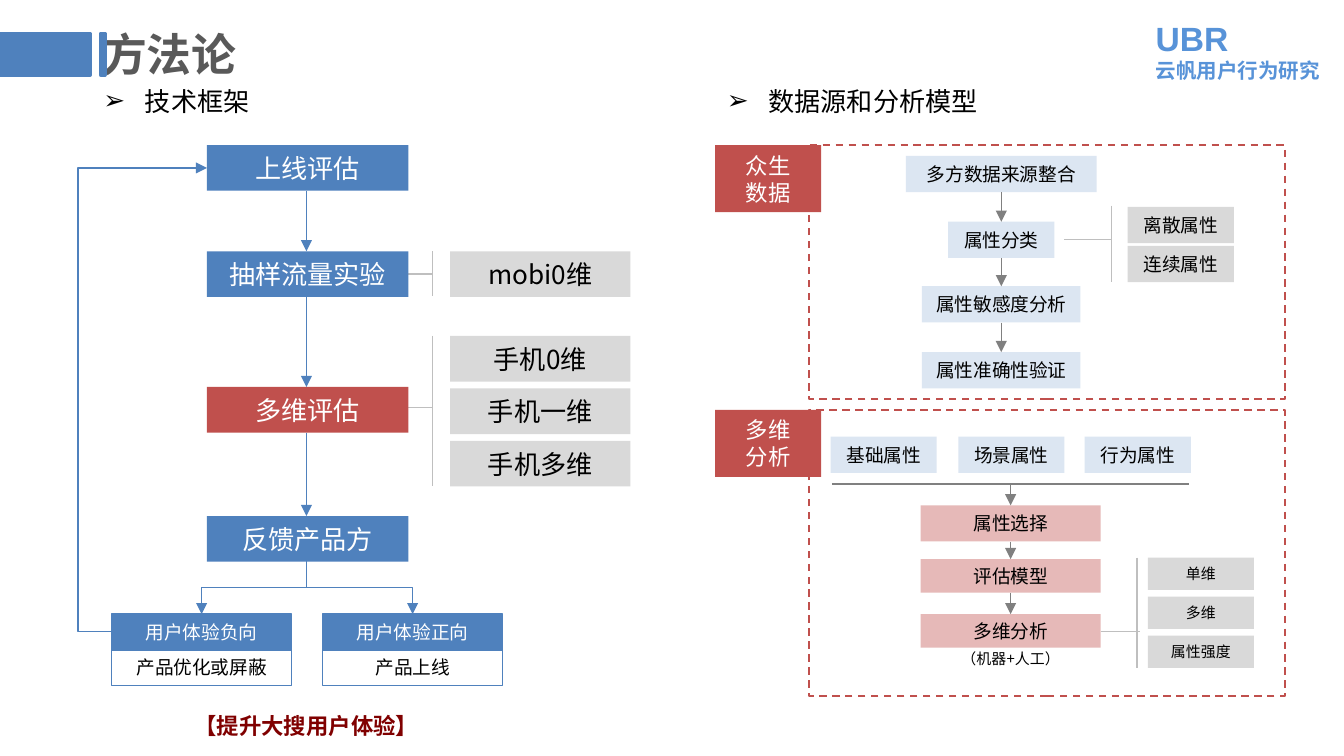
import pptx
import pptx.dml.color
import pptx.enum.dml
import pptx.enum.shapes
import pptx.enum.text
import pptx.oxml
import pptx.oxml.ns
import pptx.util
from pptx.util import Inches

FONT = "Noto Sans CJK SC"
BLUE, RED, PALE, PINK = "4F81BD", "C0504D", "DCE6F2", "E6B9B8"
GRAY, RULE, ARROW = "D9D9D9", "BFBFBF", "808080"
BLACK, WHITE = "000000", "FFFFFF"


def rgb(value):
    return pptx.dml.color.RGBColor.from_string(value)


def add_xml(parent, tag, **attributes):
    element = pptx.oxml.parse_xml(f"<a:{tag} {pptx.oxml.ns.nsdecls('a')}/>")
    for name, value in attributes.items():
        element.set(name, value)
    parent.append(element)


def add_span(para, text, size, color, bold=False, font=FONT):
    span = para.add_run()
    span.text = text
    span.font.size = pptx.util.Pt(size)
    span.font.bold = bold
    span.font.name = font
    span.font.color.rgb = rgb(color)
    add_xml(span._r.get_or_add_rPr(), "ea", typeface=font)


def prepare_frame(frame, side=0):
    frame.word_wrap = True
    frame.auto_size = pptx.enum.text.MSO_AUTO_SIZE.NONE
    frame.vertical_anchor = pptx.enum.text.MSO_ANCHOR.MIDDLE
    frame.margin_left = frame.margin_right = Inches(side)
    frame.margin_top = frame.margin_bottom = 0


def write_lines(frame, lines, size, color, bold=False):
    prepare_frame(frame)
    for index, line in enumerate(lines):
        para = frame.add_paragraph() if index else frame.paragraphs[0]
        para.alignment = pptx.enum.text.PP_ALIGN.CENTER
        add_span(para, line, size, color, bold)


def add_box(page, left, top, width, height, lines=(), fill=None, size=10,
            color=BLACK, line=None, weight=0.75, dashed=False):
    box = page.shapes.add_shape(
        pptx.enum.shapes.MSO_SHAPE.RECTANGLE,
        Inches(left), Inches(top), Inches(width), Inches(height))
    box.shadow.inherit = False
    if fill:
        box.fill.solid()
        box.fill.fore_color.rgb = rgb(fill)
    else:
        box.fill.background()
    if line:
        box.line.color.rgb = rgb(line)
        box.line.width = pptx.util.Pt(weight)
        if dashed:
            box.line.dash_style = pptx.enum.dml.MSO_LINE.DASH
    else:
        box.line.fill.background()
    write_lines(box.text_frame, lines, size, color)


def add_label(page, left, top, width, height, text, size, color, bold=False):
    label = page.shapes.add_textbox(
        Inches(left), Inches(top), Inches(width), Inches(height))
    write_lines(label.text_frame, [text], size, color, bold)


def add_line(page, x1, y1, x2, y2, color, arrow=False, elbow=False):
    kinds = pptx.enum.shapes.MSO_CONNECTOR
    connector = page.shapes.add_connector(
        kinds.ELBOW if elbow else kinds.STRAIGHT,
        Inches(x1), Inches(y1), Inches(x2), Inches(y2))
    connector.line.color.rgb = rgb(color)
    connector.line.width = pptx.util.Pt(0.75)
    if arrow:
        add_xml(connector.line._get_or_add_ln(), "tailEnd", type="triangle")
    add_xml(connector._element.spPr, "effectLst")
    return connector


def add_branch(page, x1, y1, x2, y2):
    middle_x, middle_y = (x1 + x2) / 2, (y1 + y2) / 2
    half_run, half_drop = (x2 - x1) / 2, (y2 - y1) / 2
    branch = add_line(page, middle_x - half_drop, middle_y + half_run,
                      middle_x + half_drop, middle_y - half_run, BLUE, True, True)
    branch._element.spPr.xfrm.set("rot", "5400000")


def add_return_loop(page):
    loop = add_line(page, 0.83, 4.7, 1.54, 1.25, BLUE, True, True)
    guides = loop._element.spPr.prstGeom.get_or_add_avLst()
    add_xml(guides, "gd", name="adj1", fmla="val -35300")


def add_heading(page, left, width, text):
    heading = page.shapes.add_textbox(
        Inches(left), Inches(0.58), Inches(width), Inches(0.34))
    prepare_frame(heading.text_frame, 0.1)
    para = heading.text_frame.paragraphs[0]
    properties = para._p.get_or_add_pPr()
    properties.set("marL", str(Inches(0.31)))
    properties.set("indent", str(-Inches(0.31)))
    add_xml(properties, "buFont", typeface="Arial")
    add_xml(properties, "buChar", char="➢")
    add_span(para, text, 14, BLACK)


def add_header(page):
    title = page.shapes.title
    title.left, title.top = Inches(0.28), Inches(0.12)
    title.width, title.height = Inches(4.65), Inches(0.55)
    prepare_frame(title.text_frame)
    title.text_frame.margin_left = Inches(0.48)
    para = title.text_frame.paragraphs[0]
    para.alignment = pptx.enum.text.PP_ALIGN.LEFT
    add_span(para, "方法论", 24, "595959", True)
    for left, width in ((0, 0.67), (0.75, 0.03)):
        add_box(page, left, 0.25, width, 0.31, fill=BLUE, line=BLUE, weight=2)
    team = page.shapes.add_textbox(
        Inches(8.5), Inches(-0.02), Inches(1.97), Inches(0.79))
    prepare_frame(team.text_frame, 0.1)
    add_span(team.text_frame.paragraphs[0], "UBR", 18, "5893D8", True, "Arial")
    add_span(team.text_frame.add_paragraph(), "云帆用户行为研究", 11, "5893D8", True)


def add_framework(page):
    add_heading(page, 0.67, 1.89, "技术框架")
    for y, top, bottom in ((3.03, 2.5, 3.62), (2.04, 1.87, 2.2)):
        add_line(page, 2.87, y, 3.22, y, RULE)
        add_line(page, 3.22, top, 3.22, bottom, RULE)
    steps = [("上线评估", 1.08, BLUE), ("抽样流量实验", 1.87, BLUE),
             ("多维评估", 2.88, RED), ("反馈产品方", 3.84, BLUE)]
    for text, top, fill in steps:
        add_box(page, 1.54, top, 1.5, 0.34, [text], fill, 14, WHITE)
    for step, following in zip(steps, steps[1:]):
        add_line(page, 2.28, step[1] + 0.34, 2.28, following[1], BLUE, True)
    for text, top in (("mobi0维", 1.87), ("手机0维", 2.5),
                      ("手机一维", 2.89), ("手机多维", 3.28)):
        add_box(page, 3.35, top, 1.34, 0.34, [text], GRAY, 14)
    for left, outcome, action in ((0.83, "用户体验负向", "产品优化或屏蔽"),
                                  (2.4, "用户体验正向", "产品上线")):
        add_box(page, left, 4.57, 1.34, 0.27, [outcome], BLUE, 10, WHITE, BLUE)
        add_box(page, left, 4.83, 1.34, 0.27, [action], line=BLUE)
        add_branch(page, 2.28, 4.17, left + 0.67, 4.57)
    add_return_loop(page)
    add_label(page, 0.98, 5.22, 2.6, 0.35, "【提升大搜用户体验】", 12, "800000", True)


def add_panel(page, top, height, lines):
    add_box(page, 6.02, top, 3.54, height, line=RED, weight=1, dashed=True)
    add_box(page, 5.32, top, 0.79, 0.5, lines, RED, 12, WHITE)


def add_data_source(page):
    add_heading(page, 5.31, 2.2, "数据源和分析模型")
    add_panel(page, 1.08, 1.89, ["众生", "数据"])
    steps = [("多方数据来源整合", 1.16, 1.42), ("属性分类", 1.65, 0.79),
             ("属性敏感度分析", 2.13, 1.18), ("属性准确性验证", 2.62, 1.18)]
    for text, top, width in steps:
        add_box(page, 7.45 - width / 2, top, width, 0.27, [text], PALE)
    for step, following in zip(steps, steps[1:]):
        add_line(page, 7.45, step[1] + 0.27, 7.45, following[1], ARROW, True)
    for text, top in (("离散属性", 1.54), ("连续属性", 1.83)):
        add_box(page, 8.39, top, 0.79, 0.27, [text], GRAY)
    add_line(page, 8.27, 1.53, 8.27, 2.1, RULE)
    add_line(page, 7.92, 1.78, 8.27, 1.78, RULE)


def add_analysis(page):
    add_panel(page, 3.05, 2.13, ["多维", "分析"])
    for left, text in ((6.18, "基础属性"), (7.13, "场景属性"), (8.07, "行为属性")):
        add_box(page, left, 3.25, 0.79, 0.27, [text], PALE)
    add_line(page, 6.19, 3.6, 8.85, 3.6, ARROW)
    start = 3.6
    for text, top, height in (("属性选择", 3.76, 0.27), ("评估模型", 4.16, 0.25),
                              ("多维分析", 4.57, 0.25)):
        add_box(page, 6.85, top, 1.34, height, [text], PINK)
        add_line(page, 7.52, start, 7.52, top, ARROW, True)
        start = top + height
    for index, text in enumerate(("单维", "多维", "属性强度")):
        add_box(page, 8.54, 4.15 + 0.29 * index, 0.79, 0.24, [text], GRAY, 8)
    add_line(page, 8.46, 4.15, 8.46, 4.97, RULE)
    add_line(page, 8.19, 4.7, 8.48, 4.7, RULE)
    add_label(page, 6.85, 4.78, 1.34, 0.24, "（机器+人工）", 8, BLACK)


def main():
    deck = pptx.Presentation()
    deck.slide_width = Inches(10)
    deck.slide_height = deck.slide_width * 9 // 16
    page = deck.slides.add_slide(deck.slide_layouts[5])
    add_header(page)
    add_framework(page)
    add_data_source(page)
    add_analysis(page)
    deck.save("out.pptx")


if __name__ == "__main__":
    main()
